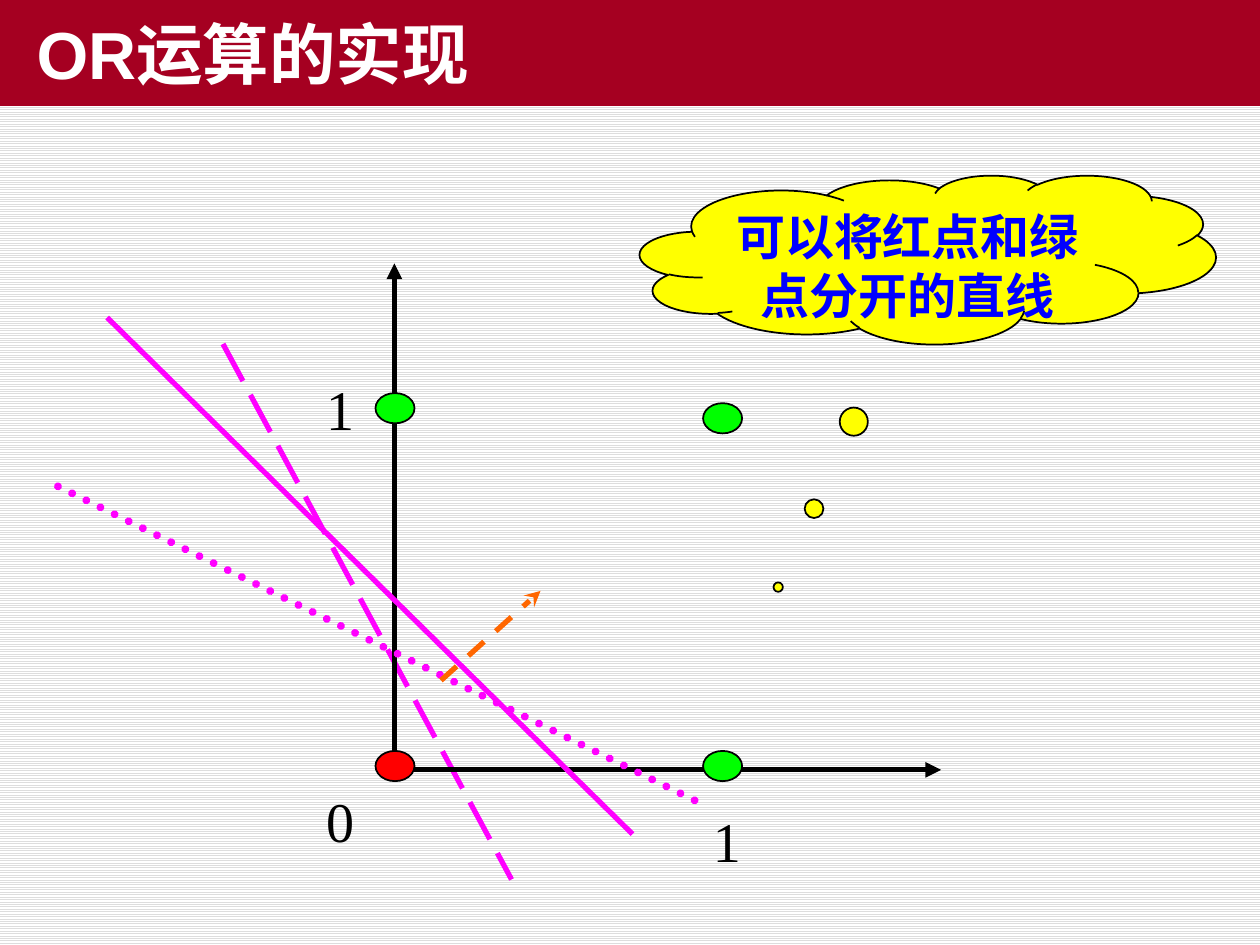
"""Build the slide on separating the points of the OR operation with lines."""
from lxml.etree import SubElement
from pptx import Presentation
from pptx.dml.color import RGBColor
from pptx.enum.dml import MSO_LINE, MSO_PATTERN
from pptx.enum.shapes import MSO_CONNECTOR, MSO_SHAPE
from pptx.enum.text import MSO_ANCHOR, MSO_AUTO_SIZE, PP_ALIGN
from pptx.oxml.ns import qn
from pptx.util import Inches, Pt

THEME = {
    "band": "A50021", "white": "FFFFFF", "stripe": "DDDDDD", "black": "000000",
    "pink": "FF00FF", "green": "00FF00", "red": "FF0000", "yellow": "FFFF00",
    "blue": "0000FF", "orange": "FF6600",
    "title": {"name": "Arial", "size": Pt(38), "bold": True},
    "cloud": {"name": "Arial", "size": Pt(28), "bold": True},
    "label": {"name": "Times New Roman", "size": Pt(32)},
}


def write(shape, text, style, color, align, **frame):
    body = shape.text_frame
    for key, value in {"word_wrap": True, **frame}.items():
        setattr(body, key, value)
    para = body.paragraphs[0]
    para.alignment = align
    run = para.add_run()
    run.text = text
    for key, value in THEME[style].items():
        setattr(run.font, key, value)
    run.font.color.rgb = RGBColor.from_string(THEME[color])


def draw(kind, box, fill, edge=True):
    shape = slide.shapes.add_shape(kind, *map(Inches, box))
    shape.shadow.inherit = False
    shape.fill.solid()
    shape.fill.fore_color.rgb = RGBColor.from_string(THEME[fill])
    if edge:
        shape.line.color.rgb = RGBColor.from_string(THEME["black"])
        shape.line.width = Pt(1)
    else:
        shape.line.fill.background()
    return shape


deck = Presentation()
deck.slide_width, deck.slide_height = Inches(10), Inches(7.5)
slide = deck.slides.add_slide(deck.slide_layouts[6])
back = slide.background.fill
back.patterned()
back.pattern = MSO_PATTERN.LIGHT_HORIZONTAL
back.fore_color.rgb = RGBColor.from_string(THEME["stripe"])
back.back_color.rgb = RGBColor.from_string(THEME["white"])

title = draw(MSO_SHAPE.RECTANGLE, (0, 0, 10, 0.84), "band", edge=False)
write(title, "OR运算的实现", "title", "white", PP_ALIGN.LEFT,
      margin_left=Inches(0.29), vertical_anchor=MSO_ANCHOR.MIDDLE)

left, right, base = 3.13, 5.73, 6.11
lines = [
    ((1.77, 2.73), (4.06, 6.98), "pink", 3, MSO_LINE.LONG_DASH, None),
    ((left, base), (7.47, base), "black", 3, None, "triangle"),
    ((left, base), (left, 2.09), "black", 3, None, "triangle"),
    ((right, 6.03), (right, base), "black", 3, None, None),
    ((left, 3.27), (3.21, 3.27), "black", 3, None, None),
    ((0.85, 2.52), (5.02, 6.62), "pink", 3, None, None),
    ((0.46, 3.86), (5.57, 6.38), "pink", 4.5, MSO_LINE.ROUND_DOT, None),
    ((3.5, 5.4), (4.29, 4.69), "orange", 3, MSO_LINE.DASH, "stealth"),
]
for start, end, color, width, dash, head in lines:
    line = slide.shapes.add_connector(
        MSO_CONNECTOR.STRAIGHT, *map(Inches, start + end))
    line.line.color.rgb = RGBColor.from_string(THEME[color])
    line.line.width = Pt(width)
    if dash:
        line.line.dash_style = dash
    props = line._element.spPr
    pen = props.find(qn("a:ln"))
    if dash == MSO_LINE.ROUND_DOT:
        pen.set("cap", "rnd")
    if head:
        SubElement(pen, qn("a:tailEnd"), type=head)
    SubElement(props, qn("a:effectLst"))

for text, x, y in [("1", 5.18, 6.35), ("1", 2.11, 2.92), ("0", 2.11, 6.19)]:
    label = slide.shapes.add_textbox(*map(Inches, (x, y, 1.18, 0.63)))
    write(label, text, "label", "black", PP_ALIGN.CENTER,
          auto_size=MSO_AUTO_SIZE.SHAPE_TO_FIT_TEXT)

dots = [(left, 3.24, "green"), (right, 6.08, "green"),
        (left, 6.08, "red"), (right, 3.32, "green")]
for x, y, color in dots:
    draw(MSO_SHAPE.OVAL, (x - 0.15, y - 0.12, 0.31, 0.24), color)

cloud = draw(MSO_SHAPE.CLOUD_CALLOUT, (5.08, 1.39, 4.57, 1.34), "yellow")
cloud.adjustments[0], cloud.adjustments[1] = -0.26, 1.94
write(cloud, "可以将红点和绿点分开的直线", "cloud", "blue", PP_ALIGN.CENTER,
      vertical_anchor=MSO_ANCHOR.TOP)

deck.save("out.pptx")
